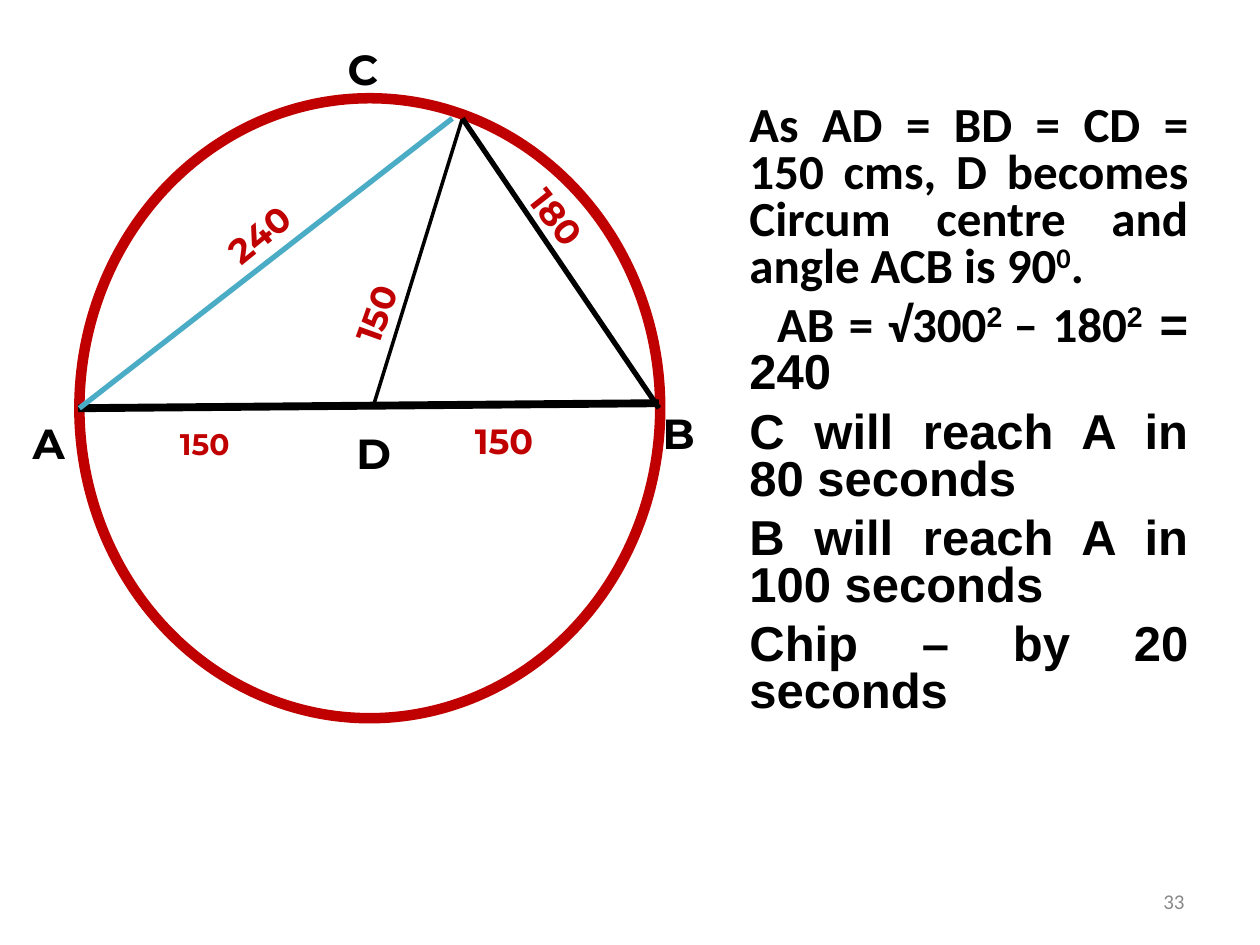
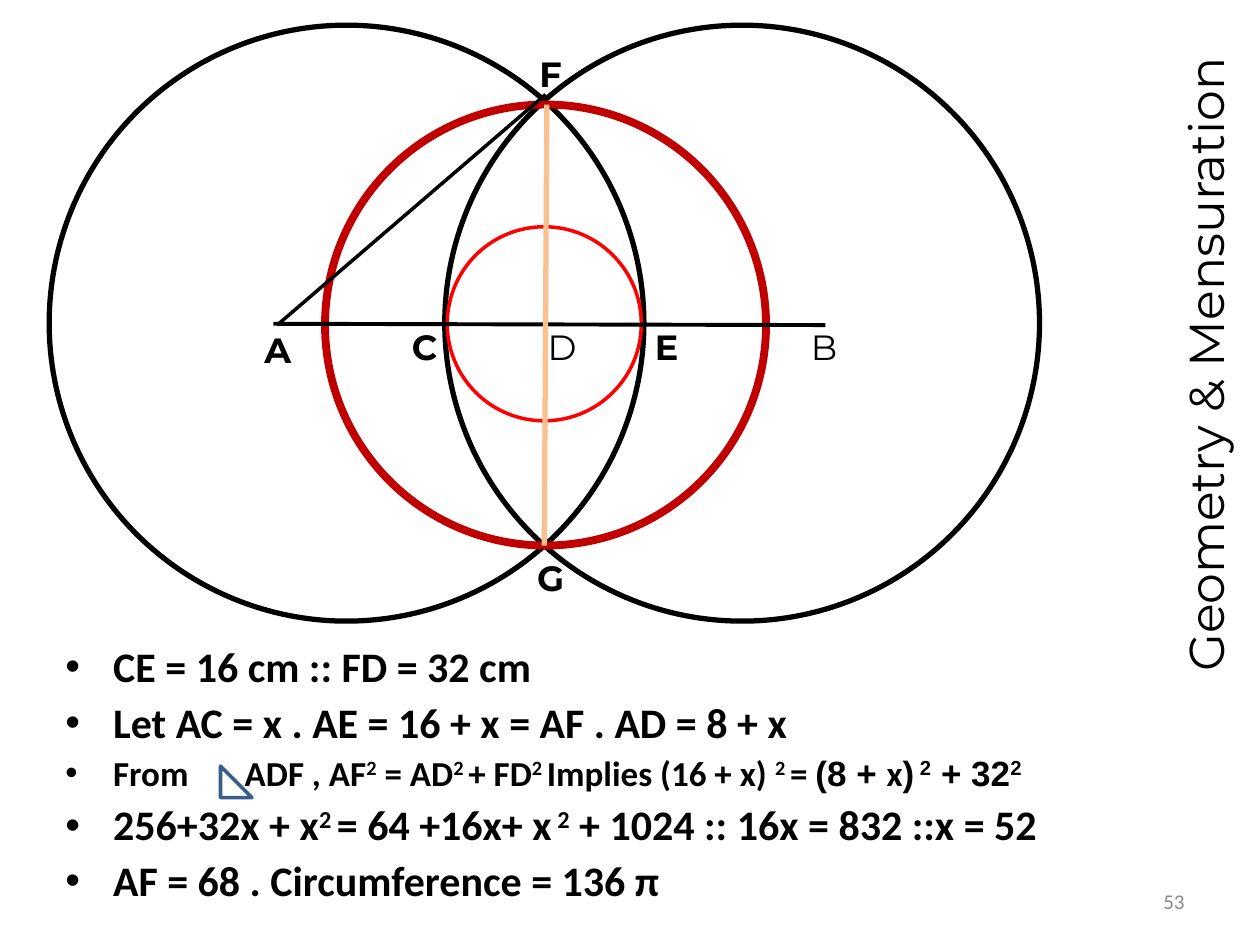
from dataclasses import dataclass

from lxml import etree
from pptx import Presentation
from pptx.dml.color import RGBColor
from pptx.enum.shapes import MSO_CONNECTOR, MSO_SHAPE
from pptx.enum.text import MSO_ANCHOR, PP_ALIGN
from pptx.oxml.ns import qn
from pptx.util import Inches, Pt

ELLIPSE = MSO_SHAPE.OVAL
RIGHT_TRIANGLE = MSO_SHAPE.RIGHT_TRIANGLE
STRAIGHT = MSO_CONNECTOR.STRAIGHT
TOP, MIDDLE = MSO_ANCHOR.TOP, MSO_ANCHOR.MIDDLE
LEFT, CENTER = PP_ALIGN.LEFT, PP_ALIGN.CENTER
RIGHT, JUSTIFY = PP_ALIGN.RIGHT, PP_ALIGN.JUSTIFY


@dataclass(frozen=True)
class Theme:
    ink: str = "000000"
    dark_red: str = "C00000"
    red: str = "FF0000"
    aqua: str = "4BACC6"
    peach: str = "FAC090"
    navy: str = "385D8A"
    grey: str = "898989"
    body_font: str = "Calibri"
    symbol_font: str = "Arial"
    label_font: str = "Montserrat"
    title_size: float = 28
    solution_size: float = 28
    vertex_size: float = 24
    bullet_size: float = 24
    label_size: float = 20
    small_label_size: float = 17
    footer_size: float = 12
    text_indent: float = 0.38


THEME = Theme()


def add_run(paragraph, text, *, font, size, color=THEME.ink, bold=False,
            superscript=False, spacing=None):
    """Add one run; spacing is extra width per character in points."""
    run = paragraph.add_run()
    run.text = text
    run.font.name = font
    run.font.size = Pt(size)
    run.font.bold = bold
    run.font.color.rgb = RGBColor.from_string(color)
    properties = run._r.get_or_add_rPr()
    if superscript:
        properties.set("baseline", "30000")
    if spacing:
        properties.set("spc", str(int(spacing * 100)))


def add_marked_text(paragraph, text, **style):
    """Add text in which each part between two carets is superscript."""
    for number, part in enumerate(text.split("^")):
        if part:
            add_run(paragraph, part, superscript=number % 2 == 1, **style)


def format_paragraph(paragraph, align, line_spacing=1.0, before=0,
                     margin=0, first_indent=0, bullet=None):
    paragraph.alignment = align
    paragraph.line_spacing = line_spacing
    paragraph.space_before = Pt(before)
    properties = paragraph._p.get_or_add_pPr()
    properties.set("marL", str(Inches(margin)))
    properties.set("indent", str(Inches(first_indent)))
    if bullet:
        font = etree.SubElement(properties, qn("a:buFont"))
        font.set("typeface", THEME.symbol_font)
        etree.SubElement(properties, qn("a:buChar")).set("char", bullet)


class SlideBuilder:
    def __init__(self, presentation, theme):
        self.presentation = presentation
        self.theme = theme
        self.slide = None

    def new_slide(self):
        layout = self.presentation.slide_layouts[6]
        self.slide = self.presentation.slides.add_slide(layout)

    def outline(self, preset, left, top, width, height, color, weight):
        shape = self.slide.shapes.add_shape(
            preset, Inches(left), Inches(top), Inches(width), Inches(height))
        shape.shadow.inherit = False
        shape.fill.background()
        shape.line.color.rgb = RGBColor.from_string(color)
        shape.line.width = Pt(weight)

    def line(self, start, end, weight, color=THEME.ink):
        connector = self.slide.shapes.add_connector(
            STRAIGHT, *(Inches(value) for value in (*start, *end)))
        connector.line.color.rgb = RGBColor.from_string(color)
        connector.line.width = Pt(weight)
        etree.SubElement(connector._element.spPr, qn("a:effectLst"))

    def text_frame(self, left, top, width, height, anchor=TOP, rotation=0):
        box = self.slide.shapes.add_textbox(
            Inches(left), Inches(top), Inches(width), Inches(height))
        box.rotation = rotation
        box.text_frame.word_wrap = True
        box.text_frame.vertical_anchor = anchor
        return box.text_frame

    def label(self, text, left, top, width, height, *, size=THEME.label_size,
              align=LEFT, anchor=TOP, rotation=0, line_spacing=1.0,
              font=THEME.label_font, color=THEME.ink, bold=True):
        frame = self.text_frame(left, top, width, height, anchor, rotation)
        paragraph = frame.paragraphs[0]
        format_paragraph(paragraph, align, line_spacing)
        add_run(paragraph, text, font=font, size=size, color=color, bold=bold)

    def page_number(self, number):
        self.label(str(number), 7.17, 6.95, 2.33, 0.4, align=RIGHT,
                   anchor=MIDDLE, size=self.theme.footer_size,
                   font=self.theme.body_font, color=self.theme.grey, bold=False)

    def side_title(self, text):
        self.label(text, 6.79, 2.58, 5.55, 0.63, rotation=270, align=CENTER,
                   anchor=MIDDLE, size=self.theme.title_size, bold=False)


def build_circumcentre_slide(builder):
    theme = builder.theme
    corner_a, corner_b, corner_c = (0.63, 3.24), (5.23, 3.24), (3.67, 0.94)

    builder.new_slide()
    builder.page_number(33)
    builder.line(corner_c, (2.97, 3.2), 2)

    vertices = [("B", 5.16, 3.2), ("C", 2.66, 0.31),
                ("D", 2.73, 3.36), ("A", 0.16, 3.28)]
    for name, left, top in vertices:
        builder.label(name, left, top, 0.39, 0.47,
                      size=theme.vertex_size, anchor=MIDDLE)

    builder.label("150", 1.33, 3.36, 1.02, 0.39, line_spacing=0.9,
                  size=theme.small_label_size, color=theme.dark_red)
    lengths = [("150", (3.67, 3.28, 1.09, 0.55), 0, LEFT),
               ("150", (2.71, 2, 0.99, 0.79), 289.7, LEFT),
               ("180", (3.94, 1.59, 0.99, 0.64), 51.7, LEFT),
               ("240", (1.41, 1.65, 1.25, 0.37), 320.9, CENTER)]
    for text, place, rotation, align in lengths:
        builder.label(text, *place, rotation=rotation, align=align,
                      color=theme.dark_red)

    body, symbol = theme.body_font, theme.symbol_font
    solution = [
        (0, [("As AD = BD = CD = 150 cms, D becomes Circum centre "
              "and angle ACB is 90^0^.", body)]),
        (0.22, [("AB = √300", body), ("^2 ^", symbol), ("– 180", body),
                ("^2^ = 240", symbol)]),
        (0, [("C will reach A in 80 seconds", symbol)]),
        (0, [("B will reach A in 100 seconds", symbol)]),
        (0, [("Chip – by 20 seconds", symbol)]),
    ]
    frame = builder.text_frame(5.47, 0.78, 4.06, 5.55)
    for number, (first_indent, parts) in enumerate(solution):
        paragraph = frame.add_paragraph() if number else frame.paragraphs[0]
        format_paragraph(paragraph, JUSTIFY, 0.8, 7 if number else 0,
                         theme.text_indent, first_indent)
        for text, font in parts:
            add_marked_text(paragraph, text, font=font,
                            size=theme.solution_size, bold=True)

    builder.outline(ELLIPSE, 0.63, 0.78, 4.61, 4.92, theme.dark_red, 6)
    builder.line((0.62, 3.24), (5.23, 3.2), 4.5)
    builder.line(corner_c, corner_b, 3)
    builder.line(corner_a, (3.59, 0.94), 3, theme.aqua)


def build_circles_slide(builder):
    theme = builder.theme
    builder.new_slide()

    for left in (0.39, 3.53):
        builder.outline(ELLIPSE, left, 0.2, 4.72, 4.73, theme.ink, 3)
    builder.outline(ELLIPSE, 3.55, 1.8, 1.54, 1.54, theme.red, 2)
    builder.outline(ELLIPSE, 2.58, 0.83, 3.5, 3.5, theme.dark_red, 4.5)
    builder.line((2.17, 2.57), (6.55, 2.58), 2.25)
    builder.line((4.34, 0.83), (4.32, 4.33), 3, theme.peach)
    builder.line((2.2, 2.58), (4.33, 0.75), 2)

    builder.label("A", 2, 2.58, 0.39, 0.39, align=CENTER, anchor=MIDDLE)
    points = [("B", 6.25, 2.5), ("C", 3.08, 2.5), ("D", 4.17, 2.5),
              ("E", 5, 2.5), ("F", 4.08, 0.33), ("G", 4.08, 4.33)]
    for name, left, top in points:
        builder.label(name, left, top, 0.58, 0.5, align=CENTER,
                      anchor=MIDDLE, bold=name not in "BD")

    body, symbol = theme.body_font, theme.symbol_font
    large, small = theme.bullet_size, theme.label_size
    triangle_gap = 27.5
    steps = [
        (large, [("CE = 16 cm :: FD = 32 cm", body)]),
        (large, [("Let AC = x . AE = 16 + x = AF . AD = 8 + x", body)]),
        (small, [("From", body), (" ", body, triangle_gap),
                 ("ADF , AF^2^ = AD^2 ^+ FD^2 ^Implies (16 + x) ^2 ^= ", body),
                 ("(8 + ", symbol), ("x", body),
                 (")^ 2^ + 32^2^", symbol)]),
        (large, [("256+32x + x^2 ^= 64 +16x+ x^ 2^ + 1024 "
                  ":: 16x = 832 ::x = 52", body)]),
        (large, [("AF = 68 . Circumference = 136 π", body)]),
    ]
    frame = builder.text_frame(0.42, 5.08, 9, 2.17)
    for number, (size, parts) in enumerate(steps):
        paragraph = frame.add_paragraph() if number else frame.paragraphs[0]
        format_paragraph(paragraph, JUSTIFY, 0.9, size / 4 if number else 0,
                         theme.text_indent, -theme.text_indent, "•")
        for text, font, *spacing in parts:
            add_marked_text(paragraph, text, font=font, size=size, bold=True,
                            spacing=spacing[0] if spacing else None)

    builder.outline(RIGHT_TRIANGLE, 1.75, 6.08, 0.25, 0.25, theme.navy, 2)
    builder.side_title("Geometry & Mensuration")
    builder.page_number(53)


def main():
    presentation = Presentation()
    presentation.slide_width = Inches(10)
    presentation.slide_height = Inches(7.5)
    builder = SlideBuilder(presentation, THEME)
    build_circumcentre_slide(builder)
    build_circles_slide(builder)
    presentation.save("out.pptx")


if __name__ == "__main__":
    main()
